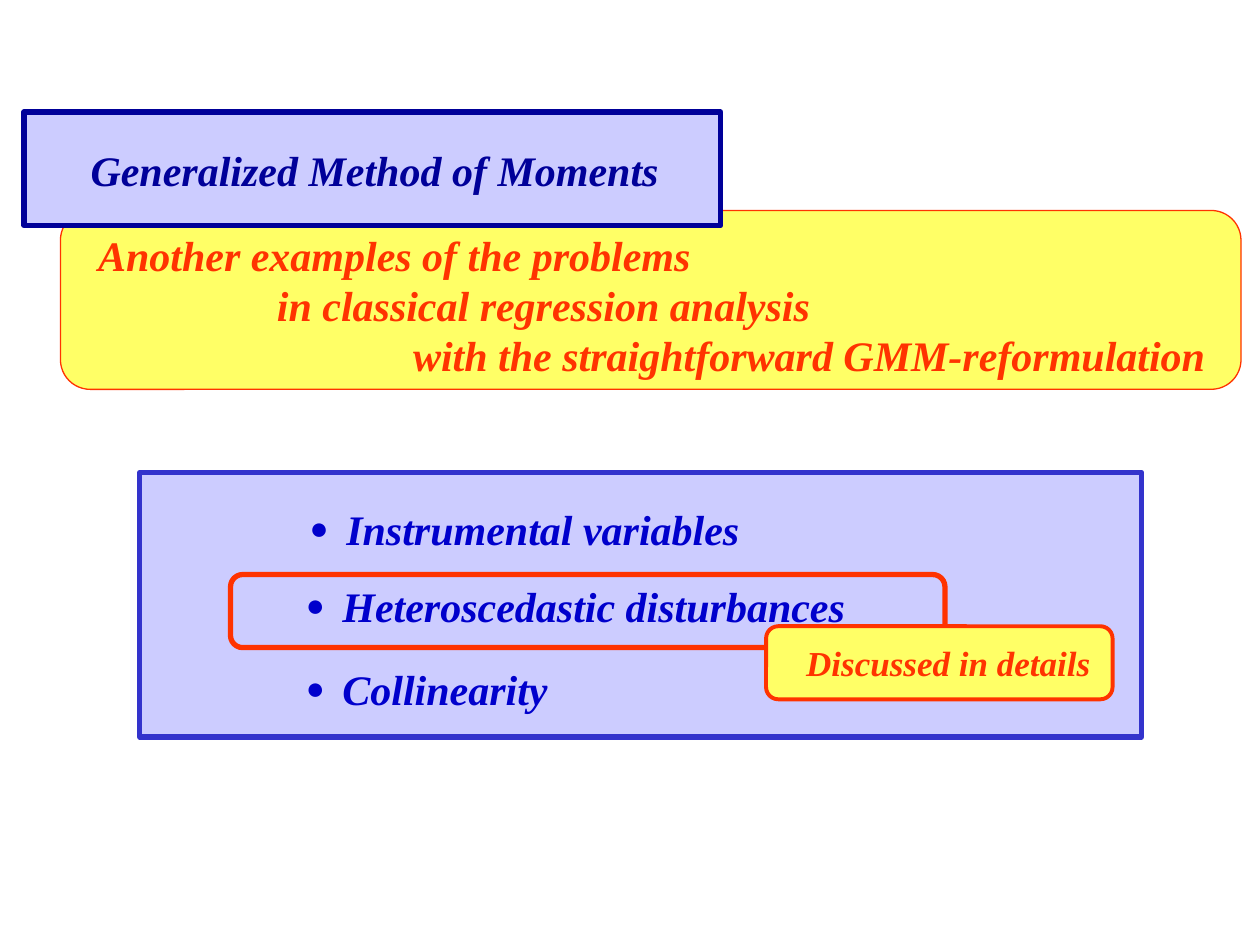
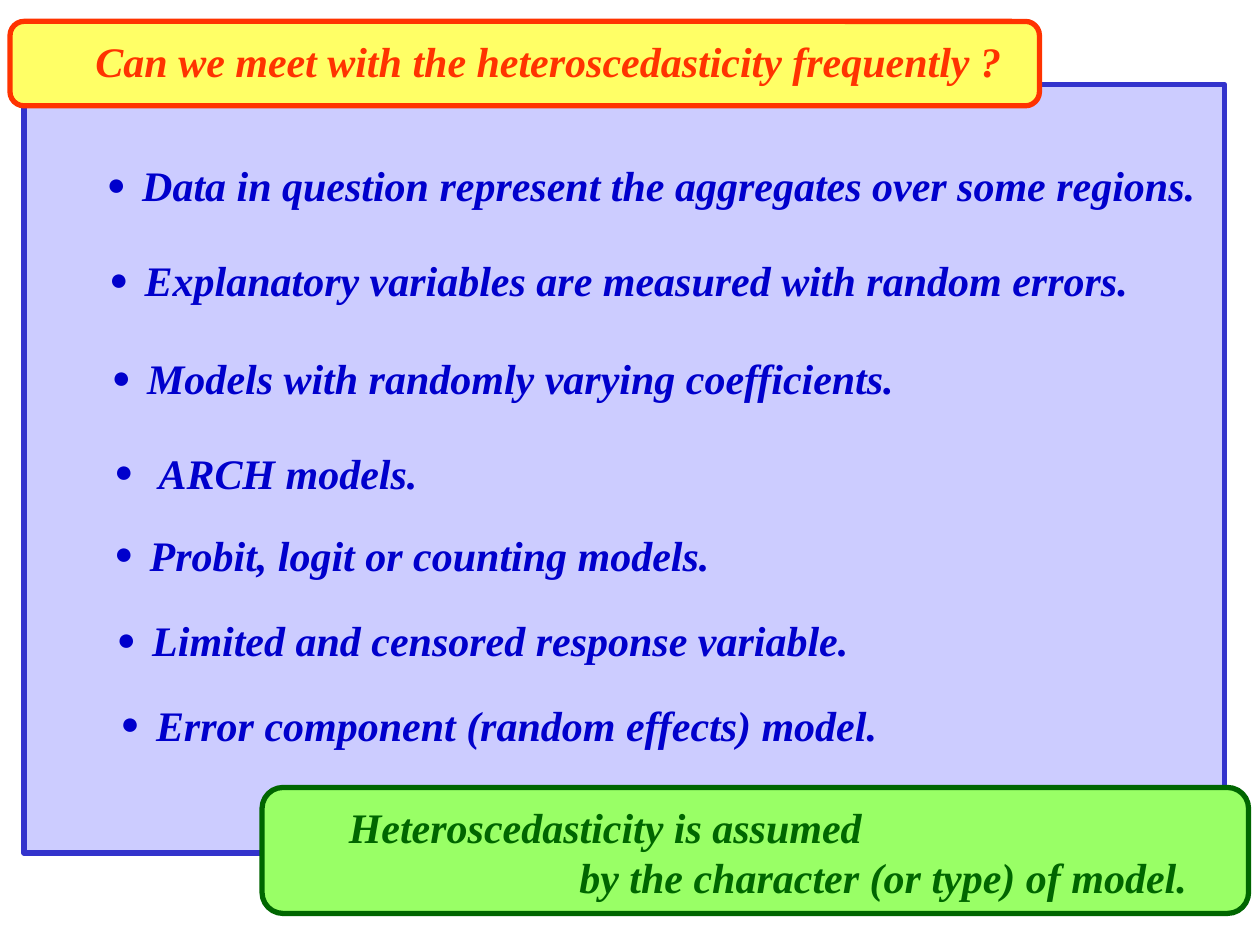
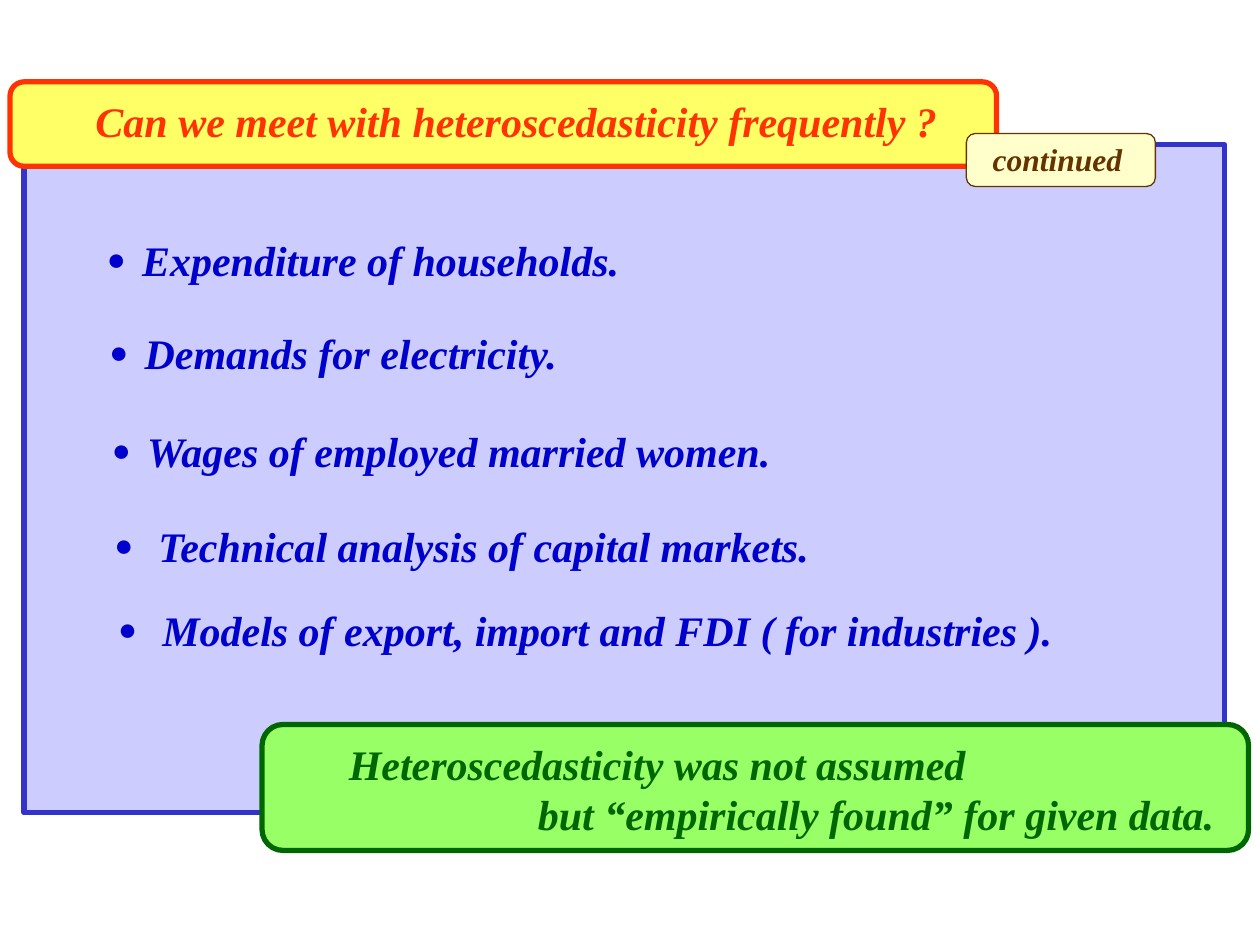
"""Three slides on the Generalized Method of Moments and heteroscedasticity."""
import lxml.etree
import pptx
import pptx.dml.color
import pptx.enum.shapes
import pptx.oxml.ns
import pptx.util

Inches = pptx.util.Inches
RECT = pptx.enum.shapes.MSO_SHAPE.RECTANGLE
ROUNDED = pptx.enum.shapes.MSO_SHAPE.ROUNDED_RECTANGLE

COLORS = {
    "lavender": "CCCCFF", "frame": "3333CC", "navy": "000099", "item": "0000CC",
    "yellow": "FFFF66", "red": "FF3300", "green": "99FF66", "dark green": "006600",
    "cream": "FFFFCC", "brown": "663300",
}


def rgb(color):
    return pptx.dml.color.RGBColor.from_string(COLORS[color])


class Deck:
    """Holds the style and the current slide, and draws each kind of element."""

    font = "Times New Roman"
    size = 24

    def __init__(self):
        self.prs = pptx.Presentation()
        self.prs.slide_width, self.prs.slide_height = Inches(10), Inches(7.5)
        self.slide = None

    def new_slide(self):
        self.slide = self.prs.slides.add_slide(self.prs.slide_layouts[6])

    def panel(self, kind, place, fill, line, weight=3):
        panel = self.slide.shapes.add_shape(kind, *map(Inches, place))
        panel.shadow.inherit = False
        if fill:
            panel.fill.solid()
            panel.fill.fore_color.rgb = rgb(fill)
        else:
            panel.fill.background()
        panel.line.color.rgb = rgb(line)
        panel.line.width = pptx.util.Pt(weight)

    def text(self, left, top, width, lines, color, size=size, bullet_gap=0):
        height = 0.1 + len(lines) * size / 60
        box = self.slide.shapes.add_textbox(*map(Inches, (left, top, width, height)))
        frame = box.text_frame
        frame.word_wrap = True
        frame.margin_right = 0
        for number, (wording, indent) in enumerate(lines):
            paragraph = frame.paragraphs[0] if number == 0 else frame.add_paragraph()
            properties = paragraph._p.get_or_add_pPr()
            properties.set("marL", str(Inches(indent + bullet_gap)))
            properties.set("indent", str(-Inches(bullet_gap)))
            if bullet_gap:
                self.bullet(properties)
            run = paragraph.add_run()
            run.text = wording
            run.font.name = self.font
            run.font.size = pptx.util.Pt(size)
            run.font.bold = run.font.italic = True
            run.font.color.rgb = rgb(color)

    def bullet(self, properties):
        for tag, key, value in (("a:buSzPct", "val", "75000"),
                                ("a:buFont", "typeface", self.font),
                                ("a:buChar", "char", "●")):
            mark = lxml.etree.SubElement(properties, pptx.oxml.ns.qn(tag))
            mark.set(key, value)

    def items(self, rows):
        for left, top, width, gap, wording in rows:
            self.text(left, top, width, [(wording, 0)], "item", bullet_gap=gap)

    def question(self, top, panel_width, text_width, wording, frame_height):
        self.panel(RECT, (0.19, top + 0.5, 9.53, frame_height), "lavender", "frame")
        self.panel(ROUNDED, (0.08, top, panel_width, 0.67), "yellow", "red")
        self.text(0.66, top + 0.06, text_width, [(wording, 0)], "red")

    def conclusion(self, top, width, lines):
        self.panel(ROUNDED, (2.08, top, 7.83, 1), "green", "dark green")
        self.text(2.67, top + 0.06, width, lines, "dark green")


def overview(deck):
    deck.new_slide()
    deck.panel(RECT, (1.11, 3.75, 7.95, 2.1), "lavender", "frame")
    deck.items([
        (2.36, 3.95, 3.87, 0.29, "Instrumental variables"),
        (2.33, 4.56, 4.73, 0.29, "Heteroscedastic disturbances"),
        (2.33, 5.22, 2.46, 0.29, "Collinearity"),
    ])
    deck.panel(ROUNDED, (1.83, 4.56, 5.67, 0.58), None, "red")
    deck.panel(ROUNDED, (6.08, 4.97, 2.75, 0.58), "yellow", "red", 2.25)
    deck.text(6.3, 5.04, 2.53, [("Discussed in details", 0)], "red", 20)
    deck.panel(ROUNDED, (0.48, 1.67, 9.37, 1.42), "yellow", "red", 0.75)
    deck.text(0.68, 1.77, 9.24, [
        ("Another examples of the problems", 0),
        ("in classical regression analysis", 1.42),
        ("with the straightforward GMM-reformulation", 2.5),
    ], "red")
    deck.panel(RECT, (0.19, 0.89, 5.53, 0.9), "lavender", "navy")
    deck.text(0.62, 1.1, 4.79, [("Generalized Method of Moments", 0)], "navy")


def assumed(deck):
    deck.new_slide()
    deck.question(0.17, 8.17, 7.47,
                  "Can we meet with the heteroscedasticity frequently ?", 6.1)
    deck.items([
        (0.75, 1.22, 8.92, 0.28,
         "Data in question represent the aggregates over some regions."),
        (0.77, 1.97, 8.36, 0.28,
         "Explanatory variables are measured with random errors."),
        (0.79, 2.75, 6.47, 0.28, "Models with randomly varying coefficients."),
        (0.81, 3.5, 2.68, 0.35, "ARCH models."),
        (0.81, 4.15, 5, 0.28, "Probit, logit or counting models."),
        (0.83, 4.83, 6.08, 0.28, "Limited and censored response variable."),
        (0.86, 5.5, 6.29, 0.28, "Error component (random effects) model."),
    ])
    deck.conclusion(6.25, 6.85, [
        ("Heteroscedasticity is assumed", 0),
        ("by the character (or type) of model.", 1.83),
    ])


def found(deck):
    deck.new_slide()
    deck.question(0.65, 7.83, 6.97,
                  "Can we meet with heteroscedasticity frequently ?", 5.3)
    deck.panel(ROUNDED, (7.67, 1.06, 1.5, 0.42), "cream", "brown", 0.75)
    deck.text(7.59, 1.06, 1.48, [("continued", 0.19)], "brown", 18)
    deck.items([
        (0.75, 1.81, 4.26, 0.28, "Expenditure of households."),
        (0.77, 2.55, 3.84, 0.28, "Demands for electricity."),
        (0.79, 3.33, 5.45, 0.28, "Wages of employed married women."),
        (0.81, 4.08, 5.9, 0.35, "Technical analysis of capital markets."),
        (0.84, 4.75, 7.77, 0.35, "Models of export, import and FDI ( for industries )."),
    ])
    deck.conclusion(5.75, 7.07, [
        ("Heteroscedasticity was not assumed", 0),
        ("but “empirically found” for given data.", 1.5),
    ])


def main():
    deck = Deck()
    for build in (overview, assumed, found):
        build(deck)
    deck.prs.save("out.pptx")


if __name__ == "__main__":
    main()
